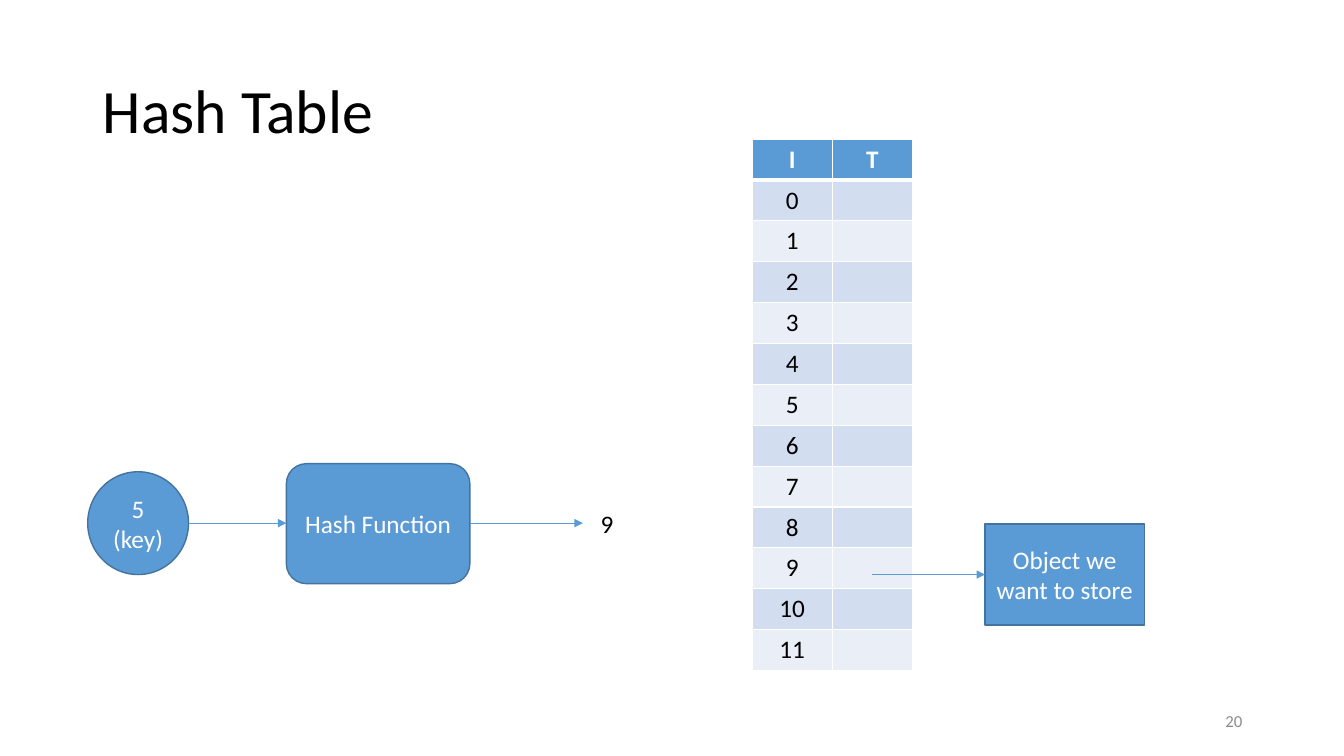
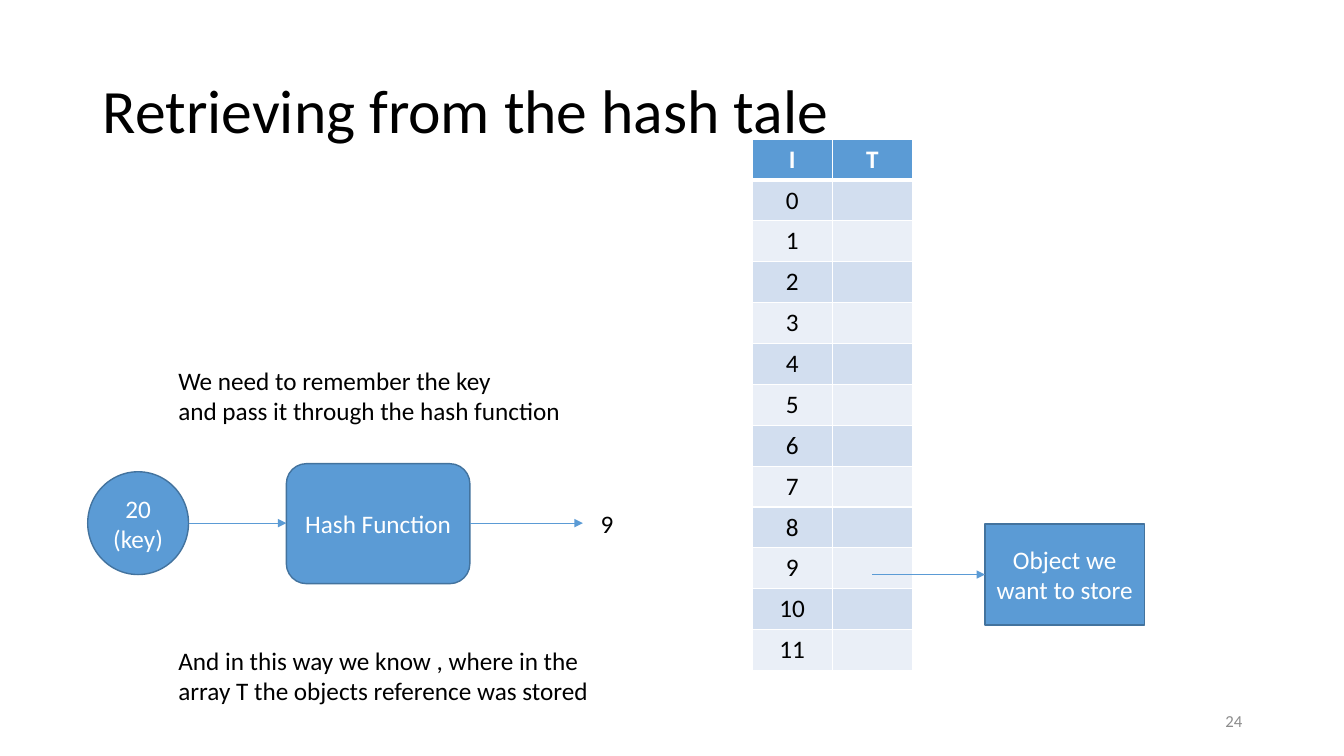
from typing import NamedTuple

from lxml import etree
from pptx import Presentation
from pptx.dml.color import RGBColor
from pptx.enum.shapes import MSO_CONNECTOR, MSO_SHAPE
from pptx.enum.text import MSO_ANCHOR, PP_ALIGN
from pptx.oxml.ns import qn
from pptx.util import Pt

PX = 9144  # 100 px to the inch
WHITE = RGBColor(0xFF, 0xFF, 0xFF)
BLACK = RGBColor(0x00, 0x00, 0x00)
GREY = RGBColor(0x8C, 0x8C, 0x8C)
BLUE = RGBColor(0x5B, 0x9B, 0xD5)
EDGE = RGBColor(0x43, 0x73, 0x9E)
BANDS = RGBColor(0xD2, 0xDE, 0xEF), RGBColor(0xEA, 0xEF, 0xF7)

LEFT, CENTER, RIGHT = PP_ALIGN.LEFT, PP_ALIGN.CENTER, PP_ALIGN.RIGHT
TOP, MIDDLE = MSO_ANCHOR.TOP, MSO_ANCHOR.MIDDLE
RECT, OVAL, ROUND = MSO_SHAPE.RECTANGLE, MSO_SHAPE.OVAL, MSO_SHAPE.ROUNDED_RECTANGLE
STRAIGHT = MSO_CONNECTOR.STRAIGHT

BODY = {"name": "Calibri", "size": Pt(18), "bold": False}
HEAD = BODY | {"bold": True}
TITLE = BODY | {"size": Pt(44)}
FOOT = BODY | {"size": Pt(12)}


class Box(NamedTuple):
    x: int
    y: int
    w: int
    h: int

    def emu(self) -> list[int]:
        return [side * PX for side in self]


class Node(NamedTuple):
    kind: int
    box: Box
    text: str


class Arrow(NamedTuple):
    start: int
    end: int
    y: int


class Note(NamedTuple):
    box: Box
    text: str


class Page(NamedTuple):
    title: str
    key: str
    number: str
    notes: tuple[Note, ...] = ()


TITLE_BOX = Box(92, 40, 1150, 145)
GRID_BOX = Box(746, 138, 159, 527)
FOOT_BOX = Box(942, 695, 300, 40)
KEY_BOX = Box(87, 468, 100, 102)
SLOTS = 12
NODES = (
    Node(RECT, Box(977, 520, 158, 100), "Object we want to store"),
    Node(ROUND, Box(284, 460, 182, 119), "Hash Function"),
)
ARROWS = Arrow(187, 284, 519), Arrow(466, 578, 519), Arrow(865, 977, 570)
INDEX = Note(Box(586, 499, 33, 40), "9")
PAGES = (
    Page("Hash Table", "5 (key)", "20"),
    Page("Retrieving from the hash tale", "20 (key)", "24", (
        Note(Box(167, 357, 404, 71),
             "We need to remember the key\nand pass it through the hash function"),
        Note(Box(167, 635, 431, 71),
             "And in this way we know , where in the\narray T the objects reference was stored"),
    )),
)


def write(frame, text: str, style: dict, color: RGBColor, align=LEFT) -> None:
    frame.text = text
    for para in frame.paragraphs:
        para.alignment = align
        for name, value in style.items():
            setattr(para.font, name, value)
        para.font.color.rgb = color


def add_title(slide, text: str) -> None:
    title = slide.shapes.title
    title.left, title.top, title.width, title.height = TITLE_BOX.emu()
    frame = title.text_frame
    write(frame, text, TITLE, BLACK)
    frame.vertical_anchor = MIDDLE
    frame.paragraphs[0].line_spacing = 0.9


def add_text(slide, note: Note, style=BODY, color=BLACK, align=LEFT, anchor=TOP) -> None:
    frame = slide.shapes.add_textbox(*note.box.emu()).text_frame
    frame.word_wrap = False
    frame.vertical_anchor = anchor
    write(frame, note.text, style, color, align)


def add_node(slide, node: Node) -> None:
    shape = slide.shapes.add_shape(node.kind, *node.box.emu())
    shape.shadow.inherit = False
    shape.fill.solid()
    shape.fill.fore_color.rgb = BLUE
    shape.line.color.rgb = EDGE
    shape.line.width = Pt(1)
    frame = shape.text_frame
    frame.word_wrap = True
    frame.vertical_anchor = MIDDLE
    frame.margin_left = frame.margin_right = 8 * PX
    write(frame, node.text, BODY, WHITE, CENTER)


def add_arrow(slide, arrow: Arrow) -> None:
    y = arrow.y * PX
    link = slide.shapes.add_connector(STRAIGHT, arrow.start * PX, y, arrow.end * PX, y)
    link.line.color.rgb = BLUE
    link.line.width = Pt(0.5)
    etree.SubElement(link.line._get_or_add_ln(), qn("a:tailEnd"), type="triangle")
    etree.SubElement(link._element.spPr, qn("a:effectLst"))


def add_borders(cell, top: int, bottom: int) -> None:
    """Draw white cell borders, with top and bottom widths in points."""
    props = cell._tc.get_or_add_tcPr()
    widths = {"lnL": 1, "lnR": 1, "lnT": top, "lnB": bottom}
    for spot, (tag, width) in enumerate(widths.items()):
        line = etree.Element(qn(f"a:{tag}"), w=str(Pt(width)))
        fill = etree.SubElement(line, qn("a:solidFill"))
        etree.SubElement(fill, qn("a:srgbClr"), val=str(WHITE))
        props.insert(spot, line)


def add_grid(slide) -> None:
    rows = [("I", "T")] + [(str(slot), "") for slot in range(SLOTS)]
    table = slide.shapes.add_table(len(rows), 2, *GRID_BOX.emu()).table
    for r, row in enumerate(rows):
        style, color, fill = (BODY, BLACK, BANDS[(r - 1) % 2]) if r else (HEAD, WHITE, BLUE)
        for c, text in enumerate(row):
            cell = table.cell(r, c)
            cell.fill.solid()
            cell.fill.fore_color.rgb = fill
            write(cell.text_frame, text, style, color, CENTER)
            add_borders(cell, 3 if r == 1 else 1, 3 if r == 0 else 1)


def add_page(deck, page: Page) -> None:
    slide = deck.slides.add_slide(deck.slide_layouts.get_by_name("Title Only"))
    add_title(slide, page.title)
    add_grid(slide)
    for node in (*NODES, Node(OVAL, KEY_BOX, page.key)):
        add_node(slide, node)
    for arrow in ARROWS:
        add_arrow(slide, arrow)
    for note in (INDEX, *page.notes):
        add_text(slide, note)
    add_text(slide, Note(FOOT_BOX, page.number), FOOT, GREY, RIGHT, MIDDLE)


def main() -> None:
    deck = Presentation()
    deck.slide_width, deck.slide_height = 1333 * PX, 750 * PX
    for page in PAGES:
        add_page(deck, page)
    deck.save("out.pptx")


if __name__ == "__main__":
    main()
